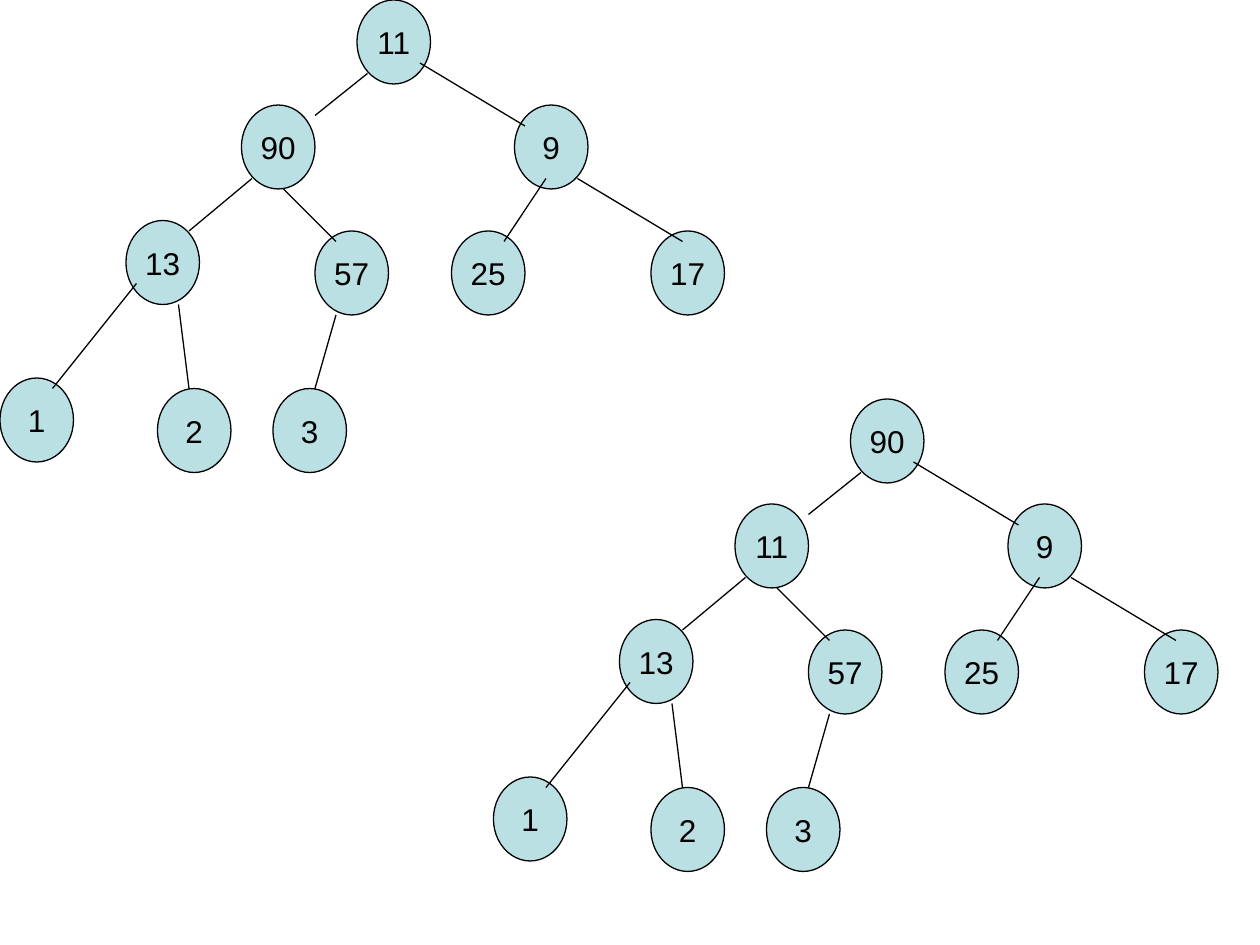
"""Draw a binary heap before and after its root swaps with the left child."""
from dataclasses import dataclass

from lxml.etree import SubElement
from pptx import Presentation
from pptx.dml.color import RGBColor
from pptx.enum.shapes import MSO_CONNECTOR, MSO_SHAPE
from pptx.enum.text import MSO_ANCHOR, PP_ALIGN
from pptx.oxml.ns import qn
from pptx.shapes.shapetree import SlideShapes
from pptx.util import Inches, Length, Pt


@dataclass(frozen=True)
class Theme:
    """Colours, font and sizes."""
    fill: RGBColor = RGBColor(0xBB, 0xE0, 0xE3)
    ink: RGBColor = RGBColor(0, 0, 0)
    font: str = "Arial"
    size: Length = Pt(18)
    line: Length = Pt(0.75)


@dataclass(frozen=True)
class Spot:
    """A point on the grid, in twelfths of an inch."""
    x: int
    y: int

    def shift(self, by: "Spot") -> "Spot":
        """Move the point by an offset."""
        return Spot(self.x + by.x, self.y + by.y)


@dataclass(frozen=True)
class Edge:
    """A line from a parent to a child."""
    start: Spot
    end: Spot


@dataclass(frozen=True)
class Tree:
    """A heap in level order and its place on the slide."""
    keys: tuple[int, ...]
    base: Spot


THEME = Theme()
WIDTH, HEIGHT = 7, 8
NODES = (
    Spot(34, 0),
    Spot(23, 10), Spot(49, 10),
    Spot(12, 21), Spot(30, 22), Spot(43, 22), Spot(62, 22),
    Spot(0, 36), Spot(15, 37), Spot(26, 37),
)
EDGES = (
    Edge(Spot(35, 7), Spot(30, 11)),
    Edge(Spot(40, 6), Spot(50, 12)),
    Edge(Spot(24, 17), Spot(18, 22)),
    Edge(Spot(27, 18), Spot(32, 23)),
    Edge(Spot(13, 27), Spot(5, 37)),
    Edge(Spot(17, 29), Spot(18, 37)),
    Edge(Spot(52, 17), Spot(48, 23)),
    Edge(Spot(55, 17), Spot(65, 23)),
    Edge(Spot(32, 30), Spot(30, 37)),
)
TREES = (
    Tree((11, 90, 9, 13, 57, 25, 17, 1, 2, 3), Spot(0, 0)),
    Tree((90, 11, 9, 13, 57, 25, 17, 1, 2, 3), Spot(47, 38)),
)


def grid(units: int) -> Length:
    """Turn grid units into a length."""
    return Inches(units / 12)


def add_node(shapes: SlideShapes, key: int, spot: Spot) -> None:
    """Draw one node with its key."""
    node = shapes.add_shape(
        MSO_SHAPE.OVAL, grid(spot.x), grid(spot.y), grid(WIDTH), grid(HEIGHT))
    node.shadow.inherit = False
    node.fill.solid()
    node.fill.fore_color.rgb = THEME.fill
    node.line.color.rgb = THEME.ink
    node.line.width = THEME.line
    frame = node.text_frame
    frame.word_wrap = False
    frame.vertical_anchor = MSO_ANCHOR.MIDDLE
    para = frame.paragraphs[0]
    para.alignment = PP_ALIGN.CENTER
    run = para.add_run()
    run.text = str(key)
    run.font.name = THEME.font
    run.font.size = THEME.size
    run.font.color.rgb = THEME.ink


def add_edge(shapes: SlideShapes, start: Spot, end: Spot) -> None:
    """Draw one line between two points."""
    edge = shapes.add_connector(
        MSO_CONNECTOR.STRAIGHT,
        grid(start.x), grid(start.y), grid(end.x), grid(end.y))
    edge.line.color.rgb = THEME.ink
    edge.line.width = THEME.line
    SubElement(edge._element.spPr, qn("a:effectLst"))


def add_tree(shapes: SlideShapes, tree: Tree) -> None:
    """Draw the nodes and edges of one heap."""
    for key, spot in zip(tree.keys, NODES):
        add_node(shapes, key, spot.shift(tree.base))
    for edge in EDGES:
        add_edge(shapes, edge.start.shift(tree.base), edge.end.shift(tree.base))


def main() -> None:
    """Build and save the slide."""
    deck = Presentation()
    deck.slide_width = Inches(10)
    deck.slide_height = Inches(7.5)
    slide = deck.slides.add_slide(deck.slide_layouts[6])
    for tree in TREES:
        add_tree(slide.shapes, tree)
    deck.save("out.pptx")


if __name__ == "__main__":
    main()
